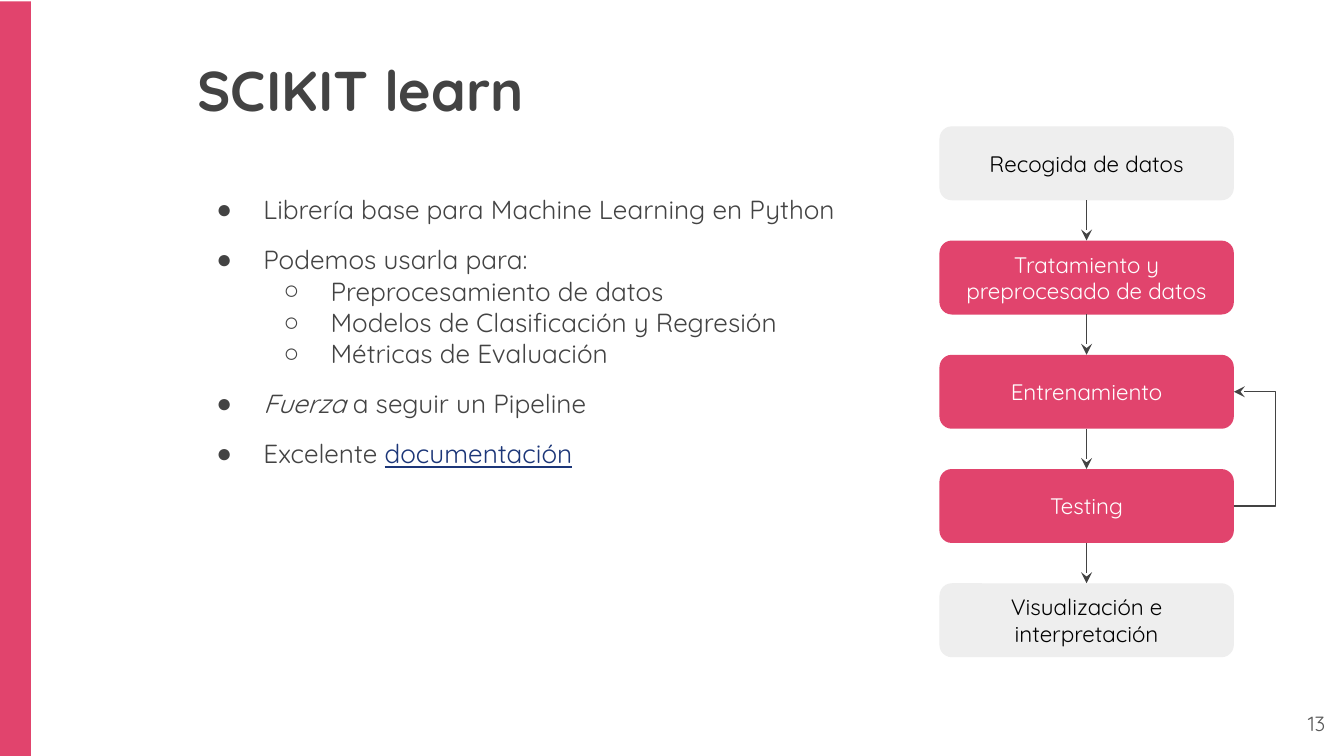
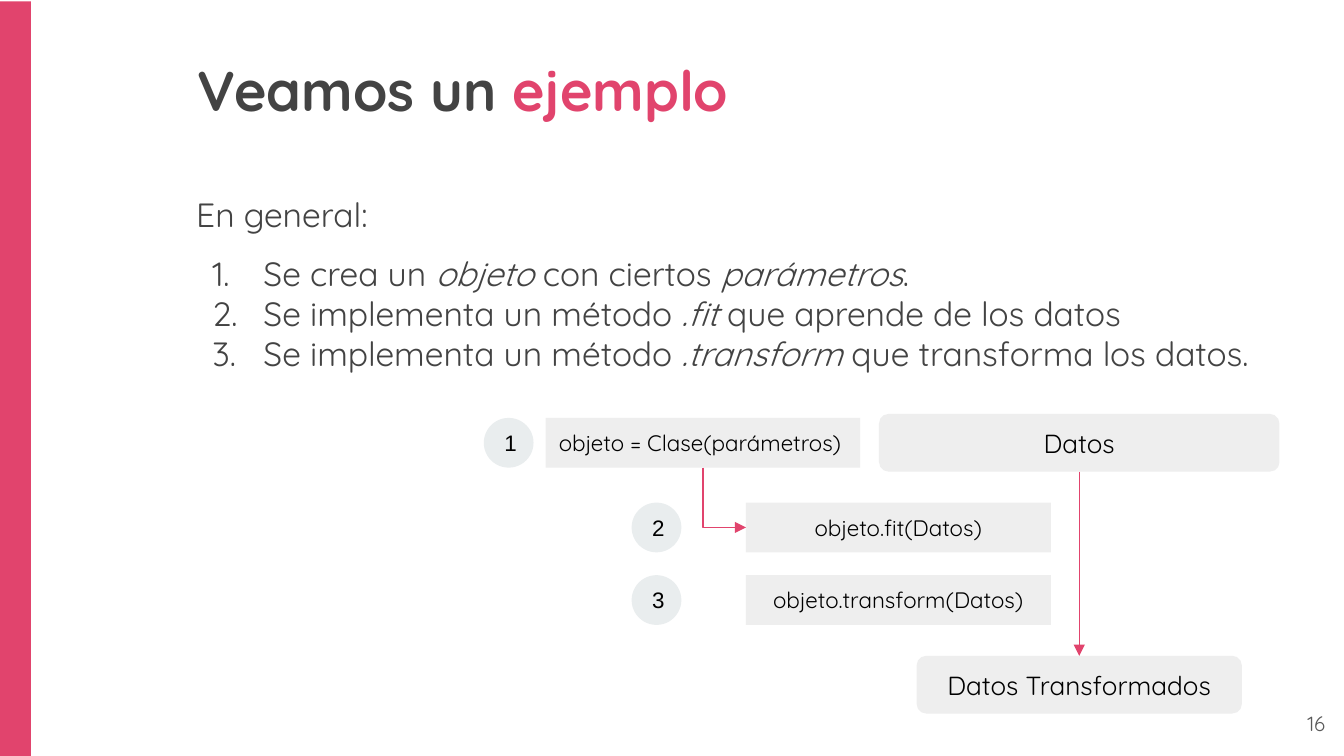
"""Build two slides: a library overview with its workflow, and a worked example of fit and transform."""
from dataclasses import dataclass
from itertools import pairwise

from lxml import etree
from pptx import Presentation
from pptx import util as u
from pptx.dml.color import RGBColor
from pptx.enum import shapes, text
from pptx.oxml.ns import qn

CELL = u.Inches(0.1)
COLUMNS, ROWS = 100, 56.25
PINK = RGBColor(0xE1, 0x44, 0x6D)
DARK = RGBColor(0x43, 0x43, 0x43)
GREY = RGBColor(0x59, 0x59, 0x59)
LIGHT = RGBColor(0xEE, 0xEE, 0xEE)
MIST = RGBColor(0xE9, 0xED, 0xEE)
NAVY = RGBColor(0x1C, 0x36, 0x78)
WHITE = RGBColor(0xFF, 0xFF, 0xFF)
BLACK = RGBColor(0, 0, 0)
FONT, PLAIN_FONT = "Quicksand", "Arial"
ROUNDED = shapes.MSO_SHAPE.ROUNDED_RECTANGLE
RECTANGLE = shapes.MSO_SHAPE.RECTANGLE
OVAL = shapes.MSO_SHAPE.OVAL
LEFT, CENTER, RIGHT = text.PP_ALIGN.LEFT, text.PP_ALIGN.CENTER, text.PP_ALIGN.RIGHT
TOP_SIDE, LEFT_SIDE, BOTTOM_SIDE, RIGHT_SIDE = range(4)
SLIVER = u.Emu(600)


@dataclass(frozen=True)
class Area:
    column: float
    row: float
    columns: float
    rows: float

    def lengths(self) -> list[int]:
        return [round(n * CELL) for n in (self.column, self.row, self.columns, self.rows)]


@dataclass(frozen=True)
class Span:
    words: str
    italic: bool = False
    underline: bool = False
    color: RGBColor = DARK


@dataclass(frozen=True)
class Line:
    spans: tuple[Span, ...]
    before: float = 0
    level: int = 0
    bullet: str = ""
    hang: float = 0.35


@dataclass(frozen=True)
class Box:
    words: str
    area: Area
    fill: RGBColor = LIGHT
    color: RGBColor = BLACK
    geometry: int = ROUNDED
    size: float = 12
    alignment: int = CENTER
    font: str = FONT


TITLE_AREA = Area(13.7, 3.1, 67.4, 6.8)
NUMBER_AREA = Area(93.6, 51.9, 6, 4.3)
USES = ("Preprocesamiento de datos", "Modelos de Clasificación y Regresión", "Métricas de Evaluación")

OVERVIEW = (
    Line((Span("Librería base para Machine Learning en Python"),), bullet="●"),
    Line((Span("Podemos usarla para:"),), 10, bullet="●"),
    *(Line((Span(use),), level=1, bullet="○") for use in USES),
    Line((Span("Fuerza", italic=True), Span(" a seguir un Pipeline")), 10, bullet="●"),
    Line((Span("Excelente "), Span("documentación", underline=True, color=NAVY)), 10, bullet="●"),
)

STAGES = (
    ("Recogida de datos", LIGHT, BLACK),
    ("Tratamiento y preprocesado de datos", PINK, WHITE),
    ("Entrenamiento", PINK, WHITE),
    ("Testing", PINK, WHITE),
    ("Visualización e interpretación", LIGHT, BLACK),
)

STEPS = (
    Line((Span("En general:"),)),
    Line((Span("Se crea un "), Span("objeto", italic=True), Span(" con ciertos "),
          Span("parámetros", italic=True), Span(".")), 10, bullet="1.", hang=0.38),
    Line((Span("Se implementa un método "), Span(".fit ", italic=True),
          Span("que aprende de los datos")), bullet="1.", hang=0.38),
    Line((Span("Se implementa un método "), Span(".transform", italic=True),
          Span(" que transforma los datos.")), bullet="1.", hang=0.38),
)

DATA = Box("Datos", Area(65.4, 30.8, 29.8, 4.3), size=14)
RESULT = Box("Datos Transformados", Area(68.2, 48.8, 24.2, 4.3), size=14)
CREATE = Box("objeto = Clase(parámetros)", Area(40.6, 31.1, 23.4, 3.7),
             geometry=RECTANGLE, alignment=LEFT)
FIT, TRANSFORM = (
    Box(words, Area(55.5, row, 22.7, 3.7), geometry=RECTANGLE)
    for words, row in (("objeto.fit(Datos)", 37.4), ("objeto.transform(Datos)", 42.8))
)
BADGES = tuple(
    Box(str(number), Area(column, call.area.row, 3.7, 3.7), MIST,
        geometry=OVAL, alignment=LEFT, font=PLAIN_FONT)
    for number, (column, call) in enumerate(((36, CREATE), (47, FIT), (47, TRANSFORM)), 1)
)


def style_run(run, size: float, color: RGBColor, font: str = FONT, bold: bool = False) -> None:
    """Give a run its font, size and colour."""
    run.font.name = font
    run.font.size = u.Pt(size)
    run.font.bold = bold
    run.font.color.rgb = color


def prepare_frame(shape, anchor: int) -> None:
    """Set even margins, wrapping and the anchor of a text frame."""
    frame = shape.text_frame
    frame.margin_left = frame.margin_right = frame.margin_top = frame.margin_bottom = CELL
    frame.word_wrap = True
    frame.auto_size = text.MSO_AUTO_SIZE.NONE
    frame.vertical_anchor = anchor


def place(shape, area: Area) -> None:
    """Move a shape to an area of the grid."""
    shape.left, shape.top, shape.width, shape.height = area.lengths()


def set_bullet(paragraph, line: Line) -> None:
    """Give a paragraph its indent and its bullet, number or neither."""
    properties = paragraph._p.get_or_add_pPr()
    indent = 0.5 * (line.level + 1) if line.bullet else 0
    properties.set("marL", str(u.Inches(indent)))
    properties.set("indent", str(-u.Inches(line.hang) if line.bullet else 0))
    if not line.bullet:
        etree.SubElement(properties, qn("a:buNone"))
        return
    numbered = line.bullet == "1."
    color = etree.SubElement(properties, qn("a:buClr"))
    etree.SubElement(color, qn("a:srgbClr"), val=str(DARK))
    etree.SubElement(properties, qn("a:buFont"), typeface=FONT if numbered else PLAIN_FONT)
    if numbered:
        etree.SubElement(properties, qn("a:buAutoNum"), type="arabicPeriod")
    else:
        etree.SubElement(properties, qn("a:buChar"), char=line.bullet)


def write_spans(paragraph, spans: tuple[Span, ...], size: float, bold: bool = False) -> None:
    """Write the spans of a paragraph as runs."""
    for span in spans:
        run = paragraph.add_run()
        run.text = span.words
        style_run(run, size, span.color, bold=bold)
        run.font.italic = span.italic
        run.font.underline = span.underline


def write_body(slide, area: Area, lines: tuple[Line, ...], size: float) -> None:
    """Fill the body placeholder with a list."""
    body = slide.placeholders[1]
    place(body, area)
    prepare_frame(body, text.MSO_ANCHOR.TOP)
    frame = body.text_frame
    for index, line in enumerate(lines):
        paragraph = frame.add_paragraph() if index else frame.paragraphs[0]
        paragraph.level = line.level
        set_bullet(paragraph, line)
        paragraph.alignment = LEFT
        paragraph.space_before = u.Pt(line.before)
        write_spans(paragraph, line.spans, size)


def add_base_slide(presentation, title: tuple[Span, ...], number: str):
    """Add a slide with its title and slide number."""
    slide = presentation.slides.add_slide(presentation.slide_layouts[1])
    heading = slide.shapes.title
    place(heading, TITLE_AREA)
    prepare_frame(heading, text.MSO_ANCHOR.TOP)
    paragraph = heading.text_frame.paragraphs[0]
    paragraph.alignment = LEFT
    paragraph.space_after = u.Pt(10)
    write_spans(paragraph, title, 30, bold=True)
    label = slide.shapes.add_textbox(*NUMBER_AREA.lengths())
    prepare_frame(label, text.MSO_ANCHOR.TOP)
    label.text_frame.text = number
    paragraph = label.text_frame.paragraphs[0]
    paragraph.alignment = RIGHT
    style_run(paragraph.runs[0], 11, GREY)
    return slide


def add_filled(slide, geometry: int, area: Area, fill: RGBColor):
    """Add a flat shape without outline."""
    shape = slide.shapes.add_shape(geometry, *area.lengths())
    shape.shadow.inherit = False
    shape.fill.solid()
    shape.fill.fore_color.rgb = fill
    shape.line.fill.background()
    return shape


def add_box(slide, box: Box):
    """Add a filled shape with its label."""
    shape = add_filled(slide, box.geometry, box.area, box.fill)
    prepare_frame(shape, text.MSO_ANCHOR.MIDDLE)
    shape.text_frame.text = box.words
    paragraph = shape.text_frame.paragraphs[0]
    paragraph.alignment = box.alignment
    style_run(paragraph.runs[0], box.size, box.color, box.font)
    return shape


def join(slide, start, start_side: int, end, end_side: int, color: RGBColor, head: str,
         kind: int = shapes.MSO_CONNECTOR.STRAIGHT):
    """Join two shapes with an arrow."""
    far_corner = COLUMNS * CELL, round(ROWS * CELL)
    connector = slide.shapes.add_connector(kind, 0, 0, *far_corner)
    connector.begin_connect(start, start_side)
    connector.end_connect(end, end_side)
    connector.line.color.rgb = color
    connector.line.width = u.Pt(0.75)
    etree.SubElement(connector.line._get_or_add_ln(), qn("a:tailEnd"), type=head)
    etree.SubElement(connector.element.spPr, qn("a:effectLst"))
    return connector


def turn(connector, degrees: int) -> None:
    """Mirror a connector from left to right and rotate it."""
    frame = connector.element.spPr.find(qn("a:xfrm"))
    frame.attrib.pop("flipV", None)
    frame.set("rot", str(degrees * 60000))
    frame.set("flipH", "1")


def bend_back(connector, reach: float) -> None:
    """Make an elbow leave and return on the right side, reaching out by some columns."""
    connector.width = SLIVER
    turn(connector, 180)
    guides = connector.element.spPr.find(qn("a:prstGeom")).get_or_add_avLst()
    ratio = round(reach * CELL / SLIVER * 100000)
    etree.SubElement(guides, qn("a:gd"), name="adj1", fmla=f"val {ratio}")


def bend_once(connector) -> None:
    """Turn an elbow into a single bend that goes down and then right."""
    width, height = connector.width, connector.height
    connector.left += (width - height) // 2
    connector.top += (height - width) // 2
    connector.width, connector.height = height, width
    connector.element.spPr.find(qn("a:prstGeom")).set("prst", "bentConnector2")
    turn(connector, 270)


def build_overview(presentation) -> None:
    """Build the library overview and put the shared side band on its layout."""
    slide = add_base_slide(presentation, (Span("SCIKIT learn"),), "13")
    band = add_filled(slide, RECTANGLE, Area(0, 0.1, 2.3, ROWS - 0.1), PINK)
    band.element.nvSpPr.cNvPr.set("id", "20")
    slide.slide_layout.shapes.element.append(band.element)
    write_body(slide, Area(13.6, 13.4, 50.2, 25.8), OVERVIEW, 14)
    stages = [
        add_box(slide, Box(words, Area(69.9, 9.4 + 8.5 * index, 21.9, 5.5), fill, color))
        for index, (words, fill, color) in enumerate(STAGES)
    ]
    for upper, lower in pairwise(stages):
        join(slide, upper, BOTTOM_SIDE, lower, TOP_SIDE, DARK, "stealth")
    training, testing = stages[2:4]
    bend_back(join(slide, testing, RIGHT_SIDE, training, RIGHT_SIDE, DARK, "stealth",
                   shapes.MSO_CONNECTOR.ELBOW), 2.6)


def build_example(presentation) -> None:
    """Build the example of creating, fitting and transforming."""
    slide = add_base_slide(presentation, (Span("Veamos un "), Span("ejemplo", color=PINK)), "16")
    write_body(slide, Area(13.6, 13.4, 81.3, 11), STEPS, 18)
    result, create, data, fit, *_ = [
        add_box(slide, box) for box in (RESULT, CREATE, DATA, FIT, TRANSFORM, *BADGES)
    ]
    join(slide, data, BOTTOM_SIDE, result, TOP_SIDE, PINK, "triangle")
    bend_once(join(slide, create, BOTTOM_SIDE, fit, LEFT_SIDE, PINK, "triangle",
                   shapes.MSO_CONNECTOR.ELBOW))


def main() -> None:
    """Build and save the presentation."""
    presentation = Presentation()
    presentation.slide_width, presentation.slide_height = COLUMNS * CELL, round(ROWS * CELL)
    build_overview(presentation)
    build_example(presentation)
    presentation.save("out.pptx")


if __name__ == "__main__":
    main()
